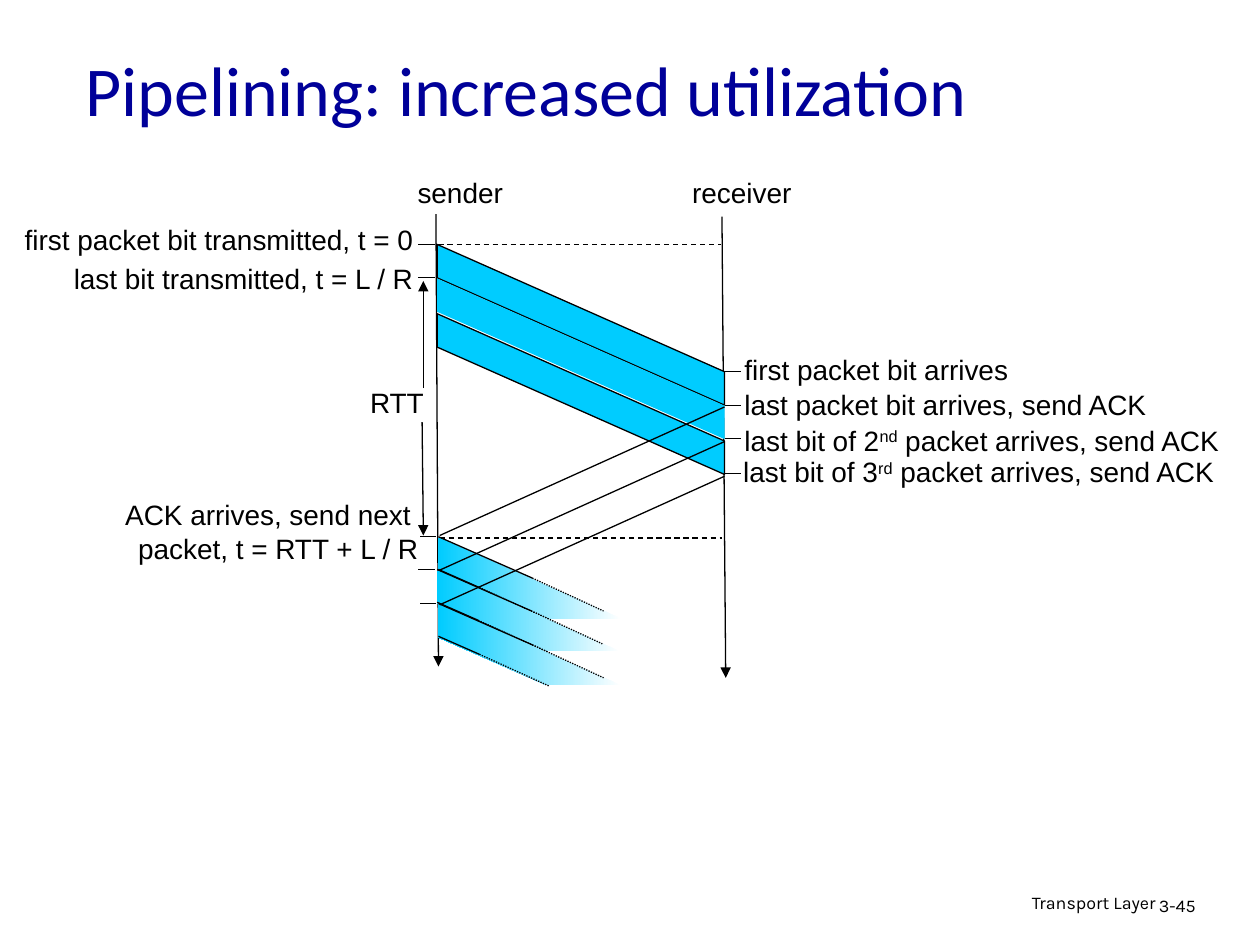
from dataclasses import dataclass
from typing import Optional

from lxml import etree
from pptx import Presentation
from pptx.dml.color import RGBColor
from pptx.enum.dml import MSO_LINE
from pptx.enum.shapes import MSO_CONNECTOR
from pptx.enum.text import MSO_ANCHOR, PP_ALIGN
from pptx.oxml.ns import qn
from pptx.util import Inches, Pt

LEFT, RIGHT = PP_ALIGN.LEFT, PP_ALIGN.RIGHT
TOP, MIDDLE = MSO_ANCHOR.TOP, MSO_ANCHOR.MIDDLE
DASH, DOT = MSO_LINE.DASH, MSO_LINE.ROUND_DOT
STRAIGHT = MSO_CONNECTOR.STRAIGHT

# The slide is a grid of 100 columns and 75 rows
COLS, ROWS = 100, 75
WIDTH, HEIGHT = Inches(10), Inches(7.5)


@dataclass(frozen=True)
class Style:
    font: str
    size: float
    color: RGBColor


@dataclass(frozen=True)
class Theme:
    ink: RGBColor = RGBColor(0, 0, 0)
    paper: RGBColor = RGBColor(255, 255, 255)
    cyan: RGBColor = RGBColor(0, 0xCC, 0xFF)
    line: float = 0.75
    title: Style = Style("Calibri", 40, RGBColor(0, 0, 0x99))
    body: Style = Style("Arial", 16, RGBColor(0, 0, 0))
    foot: Style = Style("Karla", 10.2, RGBColor(0, 0, 0))


THEME = Theme()


@dataclass(frozen=True)
class Label:
    """Text in a grid box; parts between ^ marks are raised."""
    text: str
    col: float
    row: float
    wide: float
    high: float
    align: PP_ALIGN = LEFT
    style: Style = THEME.body
    filled: bool = False
    anchor: MSO_ANCHOR = TOP
    space: Optional[float] = None


@dataclass(frozen=True)
class Rule:
    """Straight line between two grid points."""
    x1: float
    y1: float
    x2: float
    y2: float
    dash: Optional[MSO_LINE] = None
    arrow: bool = False


def px(col: float) -> int:
    return round(WIDTH * col / COLS)


def py(row: float) -> int:
    return round(HEIGHT * row / ROWS)


def add_label(slide, item: Label) -> None:
    box = slide.shapes.add_textbox(px(item.col), py(item.row), px(item.wide), py(item.high))
    if item.filled:
        box.fill.solid()
        box.fill.fore_color.rgb = THEME.paper
    frame = box.text_frame
    frame.word_wrap = True
    frame.vertical_anchor = item.anchor
    frame.text = item.text.replace("^", "")
    for para, text in zip(frame.paragraphs, item.text.split("\n")):
        para.alignment = item.align
        para.line_spacing = item.space
        parts = text.split("^")
        para.runs[0].text = parts[0]
        for part in parts[1:]:
            para.add_run().text = part
        for i, run in enumerate(para.runs):
            run.font.name = item.style.font
            run.font.size = Pt(item.style.size)
            run.font.color.rgb = item.style.color
            if i % 2:
                run.font._element.set("baseline", "30000")


def add_rule(slide, item: Rule) -> None:
    line = slide.shapes.add_connector(
        STRAIGHT, px(item.x1), py(item.y1), px(item.x2), py(item.y2))
    line.line.color.rgb = THEME.ink
    line.line.width = Pt(THEME.line)
    if item.dash:
        line.line.dash_style = item.dash
    if item.arrow:
        etree.SubElement(line.line._get_or_add_ln(), qn("a:tailEnd"), type="triangle")
    etree.SubElement(line._element.spPr, qn("a:effectLst"))


def add_shape(slide, points: list[tuple[float, float]], edge: bool, fade: bool) -> None:
    spots = [(px(x), py(y)) for x, y in points]
    pen = slide.shapes.build_freeform(*spots[0])
    pen.add_line_segments(spots[1:], close=True)
    shape = pen.convert_to_shape()
    shape.shadow.inherit = False
    if fade:
        shape.fill.gradient()
        shape.fill.gradient_angle = 180
        for stop, color in zip(shape.fill.gradient_stops, (THEME.paper, THEME.cyan)):
            stop.color.rgb = color
    else:
        shape.fill.solid()
        shape.fill.fore_color.rgb = THEME.cyan
    if edge:
        shape.line.color.rgb = THEME.ink
        shape.line.width = Pt(THEME.line)
    else:
        shape.line.fill.background()


def add_band(slide, row: float, edge: bool) -> None:
    """A whole packet on its way to the receiver."""
    x1, x2, drop, high = 34.7, 57.5, 10.1, 2.65
    add_shape(slide, [(x1, row), (x2, row + drop), (x2, row + drop + high),
                      (x1, row + high)], edge, False)


def add_next(slide, col: float, row: float) -> None:
    """A packet that fades out, with its tick and edges."""
    add_rule(slide, Rule(col - 0.2, row, col - 1.5, row))
    add_shape(slide, [(col, row + 0.1), (col + 14.5, row + 6.5),
                      (col + 8.6, row + 6.5), (col, row + 2.7)], False, True)
    for top, turn, end in ((0, 7.45, 13.1), (2.6, 3.25, 8.8)):
        start, mid = row + top, row + top + turn * 0.44
        add_rule(slide, Rule(col, start, col + turn, mid))
        add_rule(slide, Rule(col + turn, mid, col + end, start + end * 0.45, DOT))


LABELS = (
    Label("Transport Layer", 61, 70.5, 31.7, 3.1, RIGHT, THEME.foot, space=0.9),
    Label("3-45", 91, 70.7, 7.4, 3, LEFT, THEME.foot, space=0.9),
    Label("Pipelining: increased utilization", 5.8, 1.8, 85, 10.5,
          LEFT, THEME.title, anchor=MIDDLE),
    Label("first packet bit transmitted, t = 0", 0, 17.2, 33.8, 3.9, RIGHT, filled=True),
    Label("sender", 29.5, 13.4, 11.4, 3.9, RIGHT, filled=True),
    Label("receiver", 51.7, 13.4, 12.1, 3.9, RIGHT, filled=True),
    Label("RTT ", 24.6, 30.1, 10.6, 3.7, RIGHT),
    Label("last bit transmitted, t = L / R", 3.8, 20.3, 30, 3.9, RIGHT),
    Label("first packet bit arrives", 58.1, 27.5, 28.9, 3.9),
    Label("last packet bit arrives, send ACK", 58.1, 30.3, 39.2, 4.2),
    Label("ACK arrives, send next \npacket, t = RTT + L / R", 5.4, 39, 28.8, 7, RIGHT),
    Label("last bit of 2^nd^ packet arrives, send ACK", 58.1, 33.1, 41.9, 4.2),
    Label("last bit of 3^rd^ packet arrives, send ACK", 58, 35.6, 42, 4.2),
)

RULES = (
    # Time axes
    Rule(34.6, 17, 34.8, 52.9, arrow=True),
    Rule(57.3, 17.2, 57.6, 53.8, arrow=True),
    # Round-trip bounds and span
    Rule(34.8, 19.4, 57.2, 19.4, DASH),
    Rule(34.9, 42.7, 57.3, 42.7, DASH),
    Rule(33.5, 33.5, 33.6, 42.5, arrow=True),
    Rule(33.6, 30.8, 33.6, 22.3, arrow=True),
)
SENT = (19.4, 22)
HEARD = (29.5, 32.2, 34.8, 37.6)
BANDS = ((19.4, True), (22.1, False), (24.9, True))
NEXT = ((34.8, 42.6), (34.7, 45.2), (34.8, 47.9))


def main() -> None:
    deck = Presentation()
    deck.slide_width, deck.slide_height = WIDTH, HEIGHT
    slide = deck.slides.add_slide(deck.slide_layouts[6])

    # Wording, axes and ticks
    for label in LABELS:
        add_label(slide, label)
    for rule in RULES:
        add_rule(slide, rule)
    for row in SENT:
        add_rule(slide, Rule(34.5, row, 33.2, row))
    for row in HEARD:
        add_rule(slide, Rule(57.5, row, 58.8, row))

    # Packets in flight
    for row, edge in BANDS:
        add_band(slide, row, edge)

    # Next packets, each let go by an ACK
    for i, (col, row) in enumerate(NEXT):
        add_next(slide, col, row)
        add_rule(slide, Rule(34.9, 42.5 + 2.75 * i, 57.5, 32.3 + 2.75 * i))

    deck.save("out.pptx")


if __name__ == "__main__":
    main()
